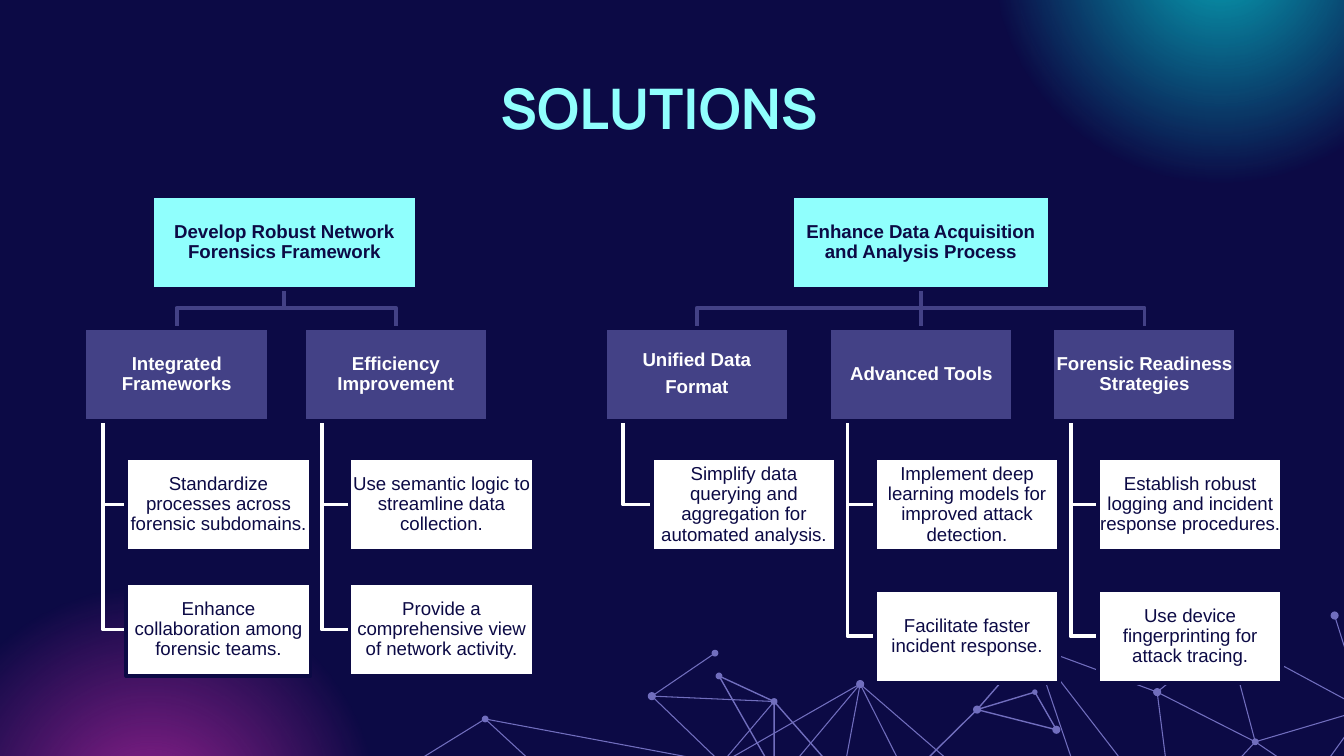
import dataclasses

import lxml.etree
import pptx
import pptx.dml.color
import pptx.enum.shapes
import pptx.enum.text
import pptx.oxml
import pptx.oxml.ns
import pptx.util

Inches = pptx.util.Inches


@dataclasses.dataclass(frozen=True)
class Theme:
    navy: str = "0C0A45"
    aqua: str = "90FFFD"
    indigo: str = "434186"
    white: str = "FFFFFF"
    violet: str = "716EBE"
    teal: str = "07A0B3"
    magenta: str = "942290"
    title_font: str = "Manrope"
    body_font: str = "Arial"
    title_size: float = 30
    body_size: float = 10


# Network decoration: node positions, lines by node and dot diameters
NODES = {
    "a": (4.85, 5.18), "b": (5.32, 4.86), "c": (5.35, 5.03), "d": (5.76, 5.22),
    "e": (3.61, 5.35), "f": (5.37, 5.68), "g": (6.4, 5.09), "h": (7.14, 5.73),
    "i": (7.69, 4.81), "j": (8.05, 5.87), "k": (8.61, 5.15), "l": (9.13, 4.73),
    "m": (9.34, 5.52), "n": (10.15, 5.28), "o": (9.93, 4.58), "p": (9.77, 5.81),
    "q": (8.74, 6.17), "r": (6.49, 6.05), "s": (7.27, 5.28), "t": (7.86, 5.43),
    "u": (7.7, 5.15), "v": (5.76, 5.75), "w": (11.66, 4.83), "x": (2.93, 5.77),
    "y": (10.4, 6.85), "z": (10.31, 5.81), "A": (9.81, 6.57), "B": (9.56, 6.22),
    "C": (7.27, 6.82), "D": (6.09, 6.75), "E": (4.37, 6.05), "F": (5.37, 6.32),
    "G": (7.67, 4.82),
}
NETWORK_LINES = {
    0.75: ["dc", "rd", "dvr", "Gstus", "rs", "cv"],
    0.56: ["wnlkijhgfex", "mn", "ypnzpmqkml", "ApBqi", "hCgD", "eEfdafFg", "ab", "no"],
}
DOTS = {0.03: "u", 0.04: "mbedc", 0.05: "stokga"}

# Tree: branch = (text, left, width, columns)
# column = (text, left, leaf left, leaves); leaf = (text, top)
BRANCHES = [
    ("Develop Robust Network Forensics Framework", 1.13, 1.97, [
        ("Integrated Frameworks", 0.63, 0.94, [
            ("Standardize processes across forensic subdomains.", 3.41),
            ("Enhance collaboration among forensic teams.", 4.34)]),
        ("Efficiency Improvement", 2.26, 2.6, [
            ("Use semantic logic to streamline data collection.", 3.41),
            ("Provide a comprehensive view of network activity.", 4.34)]),
    ]),
    ("Enhance Data Acquisition and Analysis Process", 5.89, 1.92, [
        ("Unified Data\nFormat", 4.5, 4.85, [
            ("Simplify data querying and aggregation for automated analysis.", 3.41)]),
        ("Advanced Tools", 6.17, 6.51, [
            ("Implement deep learning models for improved attack detection.", 3.41),
            ("Facilitate faster incident response.", 4.39)]),
        ("Forensic Readiness Strategies", 7.83, 8.17, [
            ("Establish robust logging and incident response procedures.", 3.41),
            ("Use device fingerprinting for attack tracing.", 4.39)]),
    ]),
]
BRANCH_TOP, BAR_Y, COLUMN_TOP = 1.46, 2.29, 2.44
BOX_WIDTH, BOX_HEIGHT = 1.37, 0.69


class SlideBuilder:
    def __init__(self, slide, theme):
        self.slide = slide
        self.theme = theme
        slide.background.fill.solid()
        slide.background.fill.fore_color.rgb = self.color(theme.navy)

    def color(self, value):
        return pptx.dml.color.RGBColor.from_string(value)

    def outline(self, shape, color, width):
        shape.line.color.rgb = self.color(color)
        shape.line.width = pptx.util.Pt(width)

    def font(self, paragraph, name, size, color, bold):
        paragraph.alignment = pptx.enum.text.PP_ALIGN.CENTER
        paragraph.font.name = name
        paragraph.font.size = pptx.util.Pt(size)
        paragraph.font.bold = bold
        paragraph.font.color.rgb = self.color(color)

    def shape(self, kind, left, top, width, height):
        shape = self.slide.shapes.add_shape(
            kind, Inches(left), Inches(top), Inches(width), Inches(height))
        shape.shadow.inherit = False
        return shape

    def title(self, text, left, top, width, height):
        title = self.slide.shapes.title
        title.left, title.top = Inches(left), Inches(top)
        title.width, title.height = Inches(width), Inches(height)
        frame = title.text_frame
        frame.text = text
        frame.auto_size = pptx.enum.text.MSO_AUTO_SIZE.NONE
        frame.vertical_anchor = pptx.enum.text.MSO_ANCHOR.TOP
        frame.margin_top = frame.margin_bottom = Inches(0.1)
        self.font(frame.paragraphs[0], self.theme.title_font,
                  self.theme.title_size, self.theme.aqua, True)

    def box(self, text, left, top, width, fill, color, bold=True):
        box = self.shape(pptx.enum.shapes.MSO_SHAPE.RECTANGLE, left, top, width, BOX_HEIGHT)
        box.fill.solid()
        box.fill.fore_color.rgb = self.color(fill)
        self.outline(box, self.theme.navy, 2)
        frame = box.text_frame
        frame.text = text
        frame.word_wrap = True
        frame.vertical_anchor = pptx.enum.text.MSO_ANCHOR.MIDDLE
        frame.margin_left = frame.margin_right = Inches(0.01)
        frame.margin_top = frame.margin_bottom = Inches(0.01)
        for paragraph in frame.paragraphs:
            paragraph.line_spacing = 0.9
            paragraph.space_after = pptx.util.Pt(3.5)
            self.font(paragraph, self.theme.body_font, self.theme.body_size, color, bold)

    def line(self, points, color, width):
        points = [(Inches(x), Inches(y)) for x, y in points]
        if len(points) == 2:
            line = self.slide.shapes.add_connector(
                pptx.enum.shapes.MSO_CONNECTOR.STRAIGHT, *points[0], *points[1])
            lxml.etree.SubElement(line._element.spPr, pptx.oxml.ns.qn("a:effectLst"))
        else:
            builder = self.slide.shapes.build_freeform(*points[0])
            builder.add_line_segments(points[1:], close=False)
            line = builder.convert_to_shape()
            line.fill.background()
            line.shadow.inherit = False
        self.outline(line, color, width)

    def dot(self, center, diameter):
        left, top = (value - diameter / 2 for value in center)
        dot = self.shape(pptx.enum.shapes.MSO_SHAPE.OVAL, left, top, diameter, diameter)
        dot.fill.solid()
        dot.fill.fore_color.rgb = self.color(self.theme.violet)
        self.outline(dot, self.theme.violet, 0.75)

    def glow(self, left, top, diameter, color):
        glow = self.shape(pptx.enum.shapes.MSO_SHAPE.OVAL, left, top, diameter, diameter)
        glow.line.fill.background()
        stops = "".join(
            f'<a:gs pos="{position}"><a:srgbClr val="{color}"><a:alpha val="{alpha}"/></a:srgbClr></a:gs>'
            for position, alpha in ((0, 100000), (50000, 0), (100000, 0)))
        gradient = pptx.oxml.parse_xml(
            f'<a:gradFill {pptx.oxml.ns.nsdecls("a")}><a:gsLst>{stops}</a:gsLst><a:path path="circle">'
            '<a:fillToRect l="50000" t="50000" r="50000" b="50000"/></a:path></a:gradFill>')
        glow._element.spPr.find(pptx.oxml.ns.qn("a:prstGeom")).addnext(gradient)

    def column(self, text, left, leaf_left, leaves):
        theme = self.theme
        trunk = left + BOX_WIDTH / 10
        for _, top in leaves:
            middle = top + BOX_HEIGHT / 2
            self.line([(trunk, COLUMN_TOP + BOX_HEIGHT), (trunk, middle), (leaf_left, middle)],
                      theme.white, 2)
        self.box(text, left, COLUMN_TOP, BOX_WIDTH, theme.indigo, theme.white)
        for leaf, top in leaves:
            self.box(leaf, leaf_left, top, BOX_WIDTH, theme.white, theme.navy, False)

    def branch(self, text, left, width, columns):
        center, bottom = left + width / 2, BRANCH_TOP + BOX_HEIGHT
        for column in columns:
            target = column[1] + BOX_WIDTH / 2
            if abs(target - center) < 0.05:
                points = [(center, bottom), (center, COLUMN_TOP)]
            else:
                points = [(center, bottom), (center, BAR_Y), (target, BAR_Y), (target, COLUMN_TOP)]
            self.line(points, self.theme.indigo, 2)
        for column in columns:
            self.column(*column)
        self.box(text, left, BRANCH_TOP, width, self.theme.aqua, self.theme.navy)


def main():
    presentation = pptx.Presentation()
    presentation.slide_width = Inches(10)
    presentation.slide_height = presentation.slide_width * 9 // 16
    theme = Theme()
    builder = SlideBuilder(presentation.slides.add_slide(presentation.slide_layouts[5]), theme)

    # Background network and glows
    for width, routes in NETWORK_LINES.items():
        for route in routes:
            builder.line([NODES[name] for name in route], theme.violet, width)
    for diameter, names in DOTS.items():
        for name in names:
            builder.dot(NODES[name], diameter)
    builder.glow(6.69, -2.72, 4.78, theme.teal)
    builder.glow(-1.27, 3.66, 4.78, theme.magenta)

    # Title and solution trees
    builder.title("SOLUTIONS", 0.69, 0.45, 8.43, 0.63)
    for branch in BRANCHES:
        builder.branch(*branch)
    presentation.save("out.pptx")


if __name__ == "__main__":
    main()
